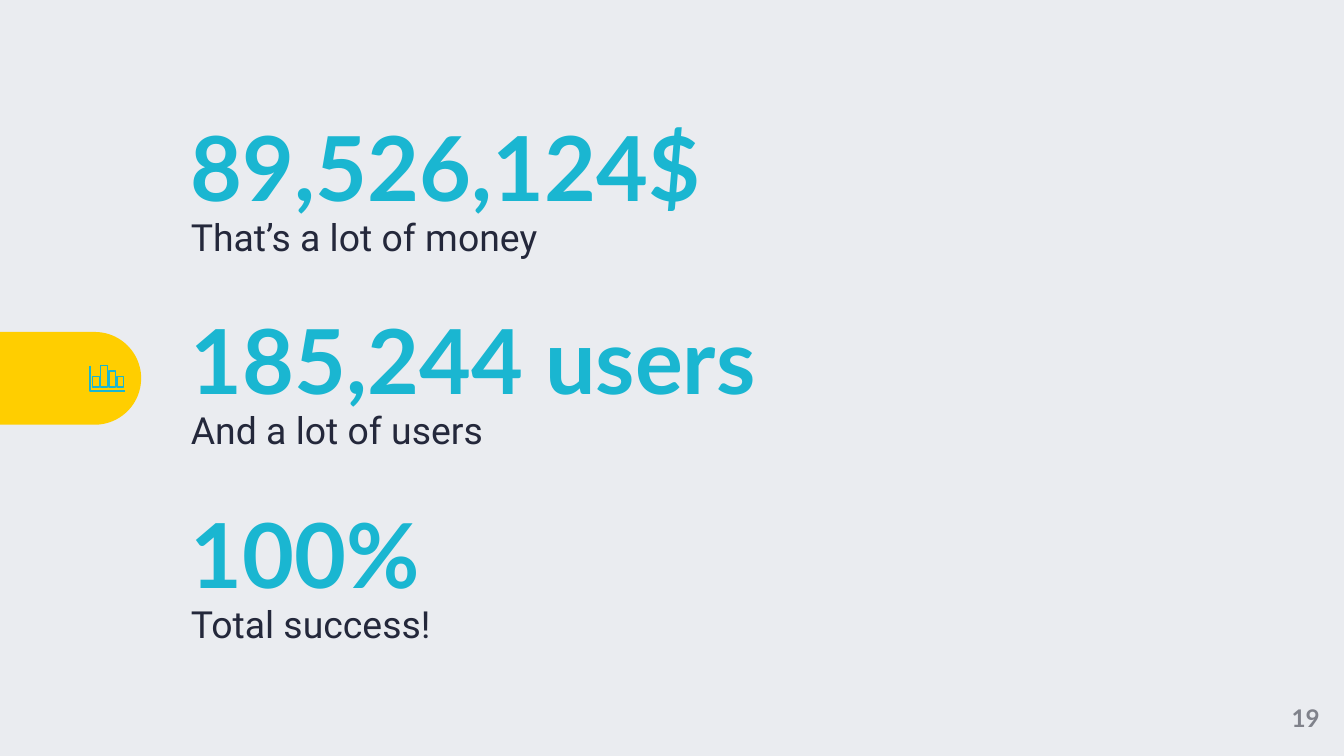
from dataclasses import dataclass

from pptx import Presentation
from pptx.dml.color import RGBColor
from pptx.enum.shapes import MSO_SHAPE as Shape
from pptx.enum.text import MSO_ANCHOR as Anchor, PP_ALIGN as Align
from pptx.util import Inches, Pt


@dataclass(frozen=True)
class Theme:
    background = RGBColor.from_string("EAECF0")
    accent = RGBColor.from_string("1AB6D1")
    tab = RGBColor.from_string("FFCE00")
    ink = RGBColor.from_string("24283B")
    muted = RGBColor.from_string("80828B")
    heading_font = "Lato"
    body_font = "Roboto"
    figure_size = Pt(48)
    caption_size = Pt(20)
    number_size = Pt(13)
    icon_line = Pt(0.75)


THEME = Theme()
FIGURES = [
    ("89,526,124$", "That’s a lot of money"),
    ("185,244 users", "And a lot of users"),
    ("100%", "Total success!"),
]


def add_text(slide, box, text, font, size, color, bold=False,
             anchor=Anchor.MIDDLE, align=Align.LEFT, line_spacing=1.0):
    """Place one paragraph in a box without margins and return the paragraph."""
    frame = slide.shapes.add_textbox(*map(Inches, box)).text_frame
    frame.word_wrap = True
    frame.vertical_anchor = anchor
    frame.margin_left = frame.margin_right = 0
    frame.margin_top = frame.margin_bottom = 0
    paragraph = frame.paragraphs[0]
    paragraph.alignment = align
    paragraph.line_spacing = line_spacing
    run = paragraph.add_run()
    run.text = text
    run.font.name = font
    run.font.size = size
    run.font.bold = bold
    run.font.color.rgb = color
    return paragraph


def add_side_tab(slide, left, top, width, height):
    """Draw the tab rounded on its right side: an upright shape turned by 90°."""
    turn = (width - height) / 2
    tab = slide.shapes.add_shape(
        Shape.ROUND_2_SAME_RECTANGLE, Inches(left + turn), Inches(top - turn),
        Inches(height), Inches(width))
    tab.adjustments[0] = 0.5
    tab.adjustments[1] = 0
    tab.rotation = 90
    tab.shadow.inherit = False
    tab.fill.solid()
    tab.fill.fore_color.rgb = THEME.tab
    tab.line.fill.background()


def add_outline(group, points, close):
    start, *rest = [(Inches(x), Inches(y)) for x, y in points]
    builder = group.shapes.build_freeform(*start)
    builder.add_line_segments(rest, close=close)
    outline = builder.convert_to_shape()
    outline.shadow.inherit = False
    outline.fill.background()
    outline.line.color.rgb = THEME.accent
    outline.line.width = THEME.icon_line


def add_chart_icon(slide, left, top, width, height):
    """Draw the two axes and four evenly spaced bars."""
    group = slide.shapes.add_group_shape()
    bottom = top + height
    axes = [(left, top), (left, bottom), (left + width, bottom)]
    add_outline(group, axes, close=False)
    base = bottom - 0.03
    bar_width, pitch = 0.05, 0.06
    for index, bar_height in enumerate([0.08, 0.16, 0.12, 0.08]):
        bar_left = left + 0.02 + index * pitch
        bar_right = bar_left + bar_width
        bar_top = base - bar_height
        add_outline(group, [(bar_right, base), (bar_right, bar_top),
                            (bar_left, bar_top), (bar_left, base)], close=True)


def add_figures(slide, left, top, width, pitch):
    """Stack the big figures, each with its caption below."""
    for index, (figure, caption) in enumerate(FIGURES):
        row_top = top + index * pitch
        add_text(slide, (left, row_top, width, 0.98), figure,
                 THEME.heading_font, THEME.figure_size, THEME.accent,
                 bold=True, line_spacing=0.9)
        paragraph = add_text(
            slide, (left, row_top + 0.75, width, 0.51), caption,
            THEME.body_font, THEME.caption_size, THEME.ink,
            anchor=Anchor.TOP, line_spacing=1.15)
        paragraph.space_after = Pt(8)


def add_slide_number(slide, box, number):
    add_text(slide, box, number, THEME.heading_font, THEME.number_size,
             THEME.muted, bold=True, align=Align.CENTER)


def main():
    presentation = Presentation()
    presentation.slide_width = Inches(10)
    presentation.slide_height = Inches(10 * 9 / 16)
    slide = presentation.slides.add_slide(presentation.slide_layouts[6])
    slide.background.fill.solid()
    slide.background.fill.fore_color.rgb = THEME.background

    add_side_tab(slide, 0, 2.47, 1.05, 0.69)
    add_figures(slide, 1.42, 0.79, 7.64, 1.44)
    add_slide_number(slide, (9.43, 5.06, 0.57, 0.56), "19")
    add_chart_icon(slide, 0.67, 2.72, 0.26, 0.19)
    presentation.save("out.pptx")


if __name__ == "__main__":
    main()
